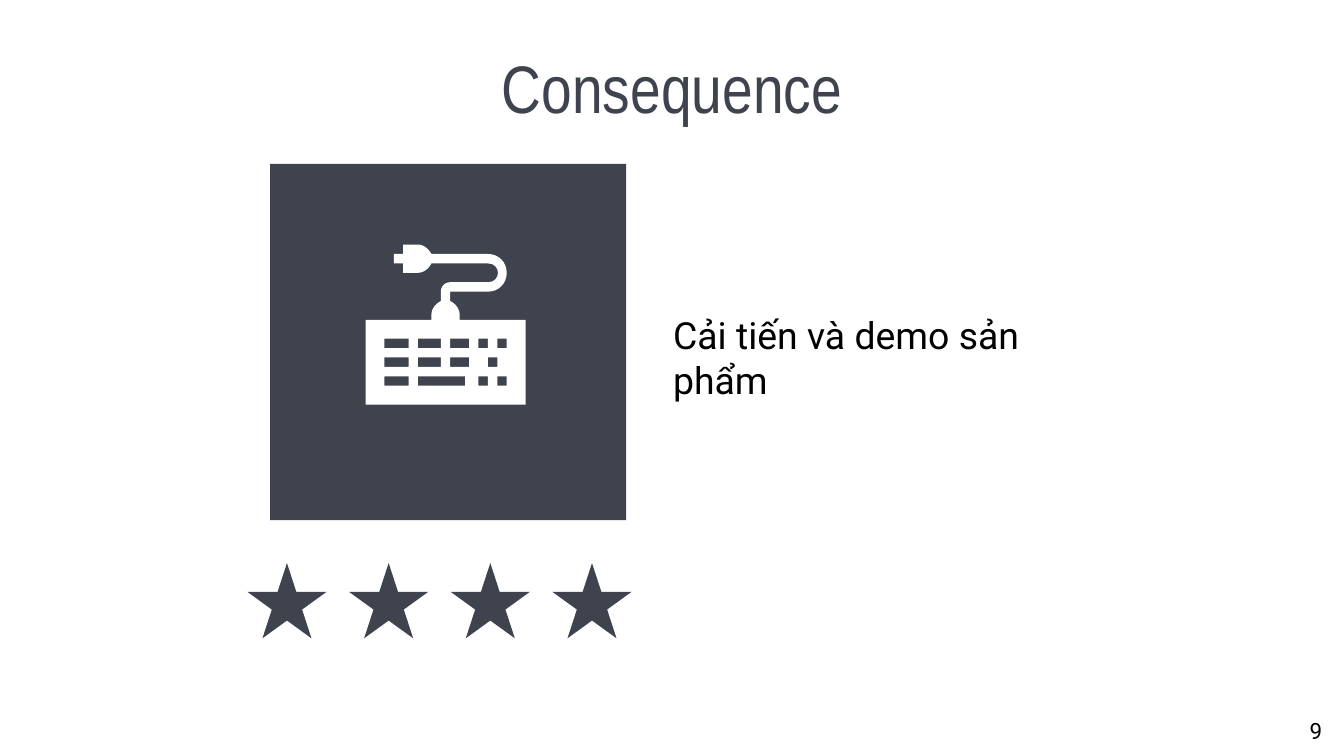
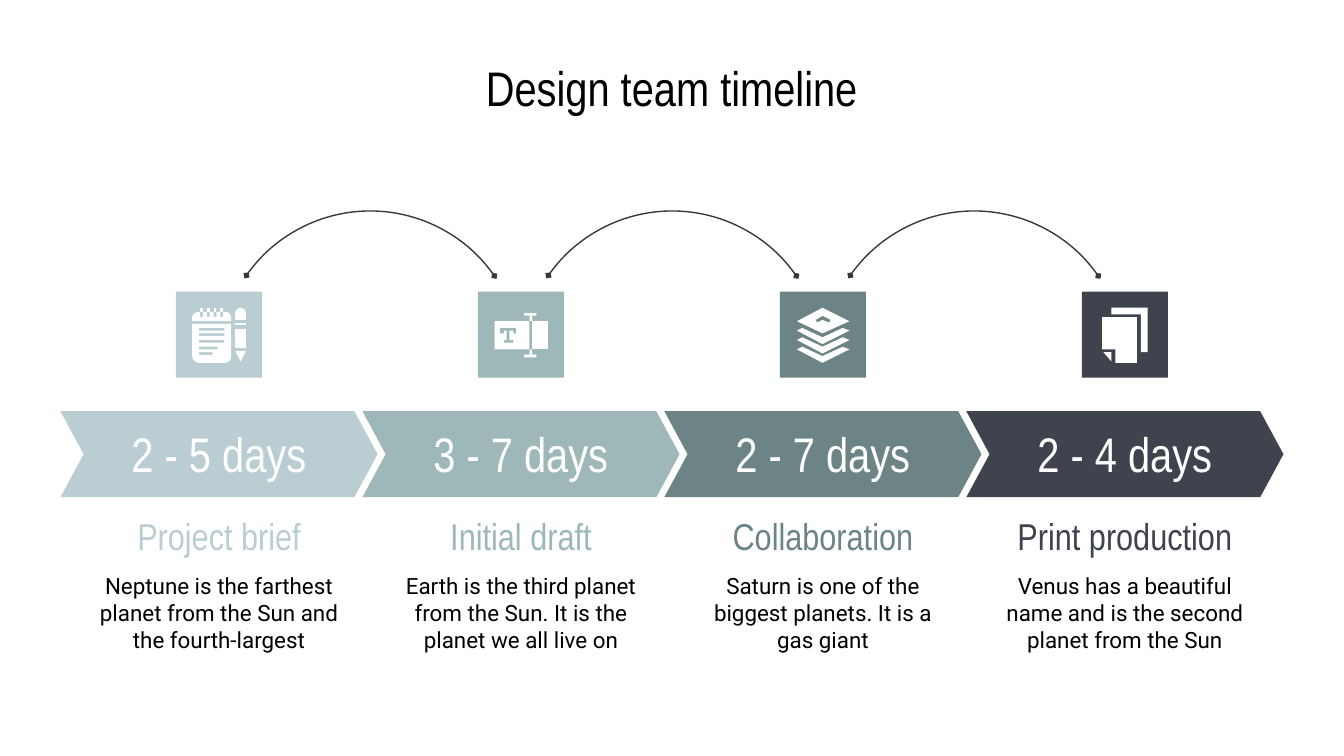
from dataclasses import dataclass

from lxml.etree import SubElement
from pptx import Presentation
from pptx.dml.color import RGBColor as RGB
from pptx.enum.shapes import MSO_SHAPE as SHAPE
from pptx.enum.text import MSO_ANCHOR as ANCHOR, MSO_AUTO_SIZE as AUTO, PP_ALIGN as ALIGN
from pptx.oxml.ns import qn
from pptx.util import Inches, Pt


@dataclass(frozen=True)
class Theme:
    dark: str = "3E434E"
    teal: str = "6C8486"
    sage: str = "9EB8BA"
    mist: str = "B9CDD3"
    line: str = "38383B"
    black: str = "000000"
    white: str = "FFFFFF"
    head_font: str = "Arial Narrow"
    body_font: str = "Roboto"
    title: int = 36
    subtitle: int = 26
    lead: int = 20
    small: int = 12


T = Theme()
TITLE_BOX = (0.45, 0.33, 9.1, 0.63)
FRAME = dict(
    word_wrap=True, auto_size=AUTO.NONE, vertical_anchor=ANCHOR.MIDDLE,
    margin_left=Inches(0.1), margin_right=Inches(0.1),
    margin_top=Inches(0.1), margin_bottom=Inches(0.1),
)

# Timeline: label, duration, description, colour
STAGES = [
    ("Project brief", "2 - 5 days",
     "Neptune is the farthest planet from the Sun and the fourth-largest", T.mist),
    ("Initial draft", "3 - 7 days",
     "Earth is the third planet from the Sun. It is the planet we all live on", T.sage),
    ("Collaboration", "2 - 7 days",
     "Saturn is one of the biggest planets. It is a gas giant", T.teal),
    ("Print production", "2 - 4 days",
     "Venus has a beautiful name and is the second planet from the Sun", T.dark),
]


# --- Helpers ---
def set_attrs(obj, values):
    for name, value in values.items():
        setattr(obj, name, value)


def box(left, top, width, height):
    return [Inches(v) for v in (left, top, width, height)]


def write(sp, text, size, color, font=T.body_font, align=ALIGN.CENTER):
    tf = sp.text_frame
    set_attrs(tf, FRAME)
    p = tf.paragraphs[0]
    p.alignment = align
    r = p.add_run()
    r.text = text
    set_attrs(r.font, dict(name=font, size=Pt(size)))
    r.font.color.rgb = RGB.from_string(color)


def add_title(s, text, size, color):
    sp = s.shapes.title
    set_attrs(sp, dict(zip(("left", "top", "width", "height"), box(*TITLE_BOX))))
    write(sp, text, size, color, T.head_font)


def add_text(s, at, *args, **kwargs):
    write(s.shapes.add_textbox(*box(*at)), *args, **kwargs)


def paint(sp, color):
    sp.shadow.inherit = False
    sp.fill.solid()
    sp.fill.fore_color.rgb = RGB.from_string(color)
    sp.line.fill.background()
    return sp


def add_shape(s, kind, at, color):
    return paint(s.shapes.add_shape(kind, *box(*at)), color)


def add_arc(s, at, start, end):
    """Open arc between two angles in degrees, with small diamond ends."""
    sp = s.shapes.add_shape(SHAPE.ARC, *box(*at))
    sp.shadow.inherit = False
    sp.adjustments[0], sp.adjustments[1] = start * 0.6, end * 0.6
    sp.fill.background()
    sp.line.color.rgb = RGB.from_string(T.line)
    sp.line.width = Pt(0.75)
    ln = sp.line._get_or_add_ln()
    for tag in ("a:headEnd", "a:tailEnd"):
        SubElement(ln, qn(tag), type="diamond", w="sm", len="sm")


# --- Freeform outlines: a pair is a corner, six numbers are a Bézier curve ---
def flatten(outline, steps=8):
    pts = []
    for item in outline:
        if len(item) == 2:
            pts.append(item)
            continue
        ctrl = [pts[-1], item[:2], item[2:4], item[4:]]
        for i in range(1, steps + 1):
            t = i / steps
            weights = ((1 - t) ** 3, 3 * t * (1 - t) ** 2, 3 * t * t * (1 - t), t ** 3)
            pts.append(tuple(sum(w * c[axis] for w, c in zip(weights, ctrl))
                             for axis in (0, 1)))
    return [(Inches(x), Inches(y)) for x, y in pts]


def rect(left, top, right, bottom):
    return [(left, top), (left, bottom), (right, bottom), (right, top)]


def add_outline(s, *outlines):
    """One white freeform; inner outlines become holes."""
    first, *rest = [flatten(o) for o in outlines]
    fb = s.shapes.build_freeform(*first[0], scale=1.0)
    fb.add_line_segments(first[1:], close=True)
    for pts in rest:
        fb.move_to(*pts[0])
        fb.add_line_segments(pts[1:], close=True)
    paint(fb.convert_to_shape(), T.white)


# --- Icons ---
def keyboard_icon(s):
    wide = [(2.86, 3.04), (3.11, 3.28), (3.35, 3.49)]
    rows = {
        2.52: wide + [(3.56, 3.63), (3.7, 3.77)],
        2.66: wide + [(3.63, 3.7)],
        2.8: [(2.86, 3.04), (3.11, 3.46), (3.56, 3.63), (3.7, 3.77)],
    }
    keys = [rect(a, top, b, top + 0.07) for top, spans in rows.items() for a, b in spans]
    body = [
        (3, 1.82), (3, 1.89), (2.93, 1.89), (2.93, 1.96), (3, 1.96), (3, 2.03),
        (3.11, 2.03), (3.15, 2.03, 3.19, 2, 3.21, 1.96),
        (3.63, 1.96), (3.73, 1.96, 3.73, 2.1, 3.63, 2.1),
        (3.35, 2.1), (3.31, 2.1, 3.28, 2.13, 3.28, 2.17),
        (3.28, 2.24), (3.24, 2.26, 3.21, 2.3, 3.21, 2.34),
        (3.21, 2.38), (2.72, 2.38), (2.72, 3.01), (3.91, 3.01), (3.91, 2.38),
        (3.42, 2.38), (3.42, 2.34), (3.42, 2.3, 3.39, 2.26, 3.35, 2.24),
        (3.35, 2.17), (3.63, 2.17), (3.71, 2.17, 3.77, 2.11, 3.77, 2.03),
        (3.77, 1.95, 3.71, 1.89, 3.63, 1.89),
        (3.21, 1.89), (3.19, 1.85, 3.15, 1.82, 3.11, 1.82),
    ]
    add_outline(s, body, *keys)


def notepad_icon(s):
    rings = [1.49 + 0.05 * i for i in range(4)]
    for x in rings:
        add_outline(s, rect(x, 2.29, x + 0.02, 2.32))
    # The binding is traced right to left along its notches
    notches = [pt for x in reversed(rings)
               for pt in reversed(rect(x, 2.32, x + 0.02, 2.36))]
    add_outline(s, [(1.48, 2.32), (1.46, 2.32, 1.43, 2.34, 1.43, 2.36), (1.43, 2.39),
                    (1.72, 2.39), (1.72, 2.36), (1.72, 2.34, 1.7, 2.32, 1.67, 2.32),
                    *notches])
    rules = [(2.44, 1.67), (2.48, 1.67), (2.53, 1.67), (2.58, 1.62), (2.62, 1.58)]
    page = [(1.43, 2.41), (1.43, 2.65), (1.43, 2.68, 1.46, 2.7, 1.48, 2.7),
            (1.67, 2.7), (1.7, 2.7, 1.72, 2.68, 1.72, 2.65), (1.72, 2.41)]
    add_outline(s, page, *[rect(1.48, y, right, y + 0.02) for y, right in rules])
    # Pencil
    add_outline(s, rect(1.75, 2.45, 1.83, 2.59))
    add_outline(s, [(1.79, 2.29), (1.77, 2.29, 1.75, 2.31, 1.75, 2.33), (1.75, 2.38),
                    (1.83, 2.38), (1.83, 2.33), (1.83, 2.31, 1.81, 2.29, 1.79, 2.29)])
    add_outline(s, rect(1.75, 2.4, 1.83, 2.42))
    add_outline(s, [(1.75, 2.61), (1.79, 2.69), (1.83, 2.61)])


def text_field_icon(s):
    letter = [
        (3.84, 2.44), (3.84, 2.48), (3.82, 2.48), (3.82, 2.46), (3.79, 2.46),
        (3.79, 2.53), (3.82, 2.53), (3.82, 2.55), (3.75, 2.55), (3.75, 2.53),
        (3.77, 2.53), (3.77, 2.46), (3.75, 2.46), (3.75, 2.48), (3.72, 2.48),
        (3.72, 2.44),
    ]
    add_outline(s, rect(3.68, 2.39, 3.94, 2.6), letter)
    add_outline(s, rect(3.96, 2.39, 4.08, 2.6))
    # Cursor ends, mirrored about the middle of the field
    for outer, inner, field in ((2.33, 2.35, 2.39), (2.66, 2.64, 2.6)):
        add_outline(s, [(3.9, outer), (3.9, inner), (3.94, inner), (3.94, field),
                        (3.96, field), (3.96, inner), (3.99, inner), (3.99, outer)])


def layers_icon(s):
    for y in (2.58, 2.51, 2.44):
        add_outline(s, [(5.97, y), (5.93, y + 0.02), (6.12, y + 0.12), (6.32, y + 0.02),
                        (6.27, y), (6.12, y + 0.07)])
    add_outline(s, [(6.12, 2.29), (5.93, 2.39), (6.12, 2.48), (6.32, 2.39)],
                [(6.12, 2.35), (6.18, 2.38), (6.17, 2.4), (6.12, 2.38),
                 (6.08, 2.4), (6.07, 2.38)])


def pages_icon(s):
    add_outline(s, [(8.2, 2.36), (8.2, 2.6), (8.3, 2.6), (8.3, 2.7), (8.46, 2.7),
                    (8.46, 2.36)])
    add_outline(s, [(8.21, 2.62), (8.27, 2.69), (8.27, 2.62)])
    add_outline(s, [(8.27, 2.29), (8.27, 2.34), (8.49, 2.34), (8.49, 2.62),
                    (8.54, 2.62), (8.54, 2.29)])


# --- Slides ---
def consequence_slide(s):
    add_title(s, "Consequence", T.title, T.dark)
    for i in range(4):
        add_shape(s, SHAPE.STAR_5_POINT, (1.84 + i * 2.27 / 3, 4.19, 0.59, 0.56), T.dark)
    add_shape(s, SHAPE.RECTANGLE, (2.01, 1.22, 2.65, 2.65), T.dark)
    keyboard_icon(s)
    add_text(s, (4.91, 2.28, 3.52, 0.76), "Cải tiến và demo sản phẩm",
             T.lead, T.black, align=ALIGN.LEFT)
    add_text(s, (9.58, 5.25, 0.42, 0.37), "9", T.small, T.black)


def add_stage(s, left, label, days, about, color):
    add_text(s, (left + 0.12, 3.8, 2.12, 0.37), label, T.lead, color, T.head_font)
    add_text(s, (left + 0.12, 4.18, 2.12, 0.76), about, T.small, T.black)
    sp = add_shape(s, SHAPE.CHEVRON, (left, 3.06, 2.36, 0.64), color)
    sp.adjustments[0] = 0.27
    write(sp, days, T.subtitle, T.white, T.head_font)
    sp.text_frame.margin_bottom = Inches(0.11)
    add_shape(s, SHAPE.RECTANGLE, (left + 0.86, 2.17, 0.64, 0.64), color)


def timeline_slide(s):
    add_title(s, "Design team timeline", T.subtitle, T.black)
    step = (7.19 - 0.45) / (len(STAGES) - 1)
    for i in range(len(STAGES) - 1):
        add_arc(s, (1.63 + i * step, 1.57, 2.25, 2.25), 215.07, 325.18)
    for i, stage in enumerate(STAGES):
        add_stage(s, 0.45 + i * step, *stage)
    for icon in (notepad_icon, text_field_icon, layers_icon, pages_icon):
        icon(s)


def main():
    prs = Presentation()
    # Widescreen, 16:9
    prs.slide_width = Inches(10)
    prs.slide_height = Inches(10 * 9 / 16)
    title_only = prs.slide_layouts[5]
    for build in (consequence_slide, timeline_slide):
        build(prs.slides.add_slide(title_only))
    prs.save("out.pptx")


if __name__ == "__main__":
    main()
